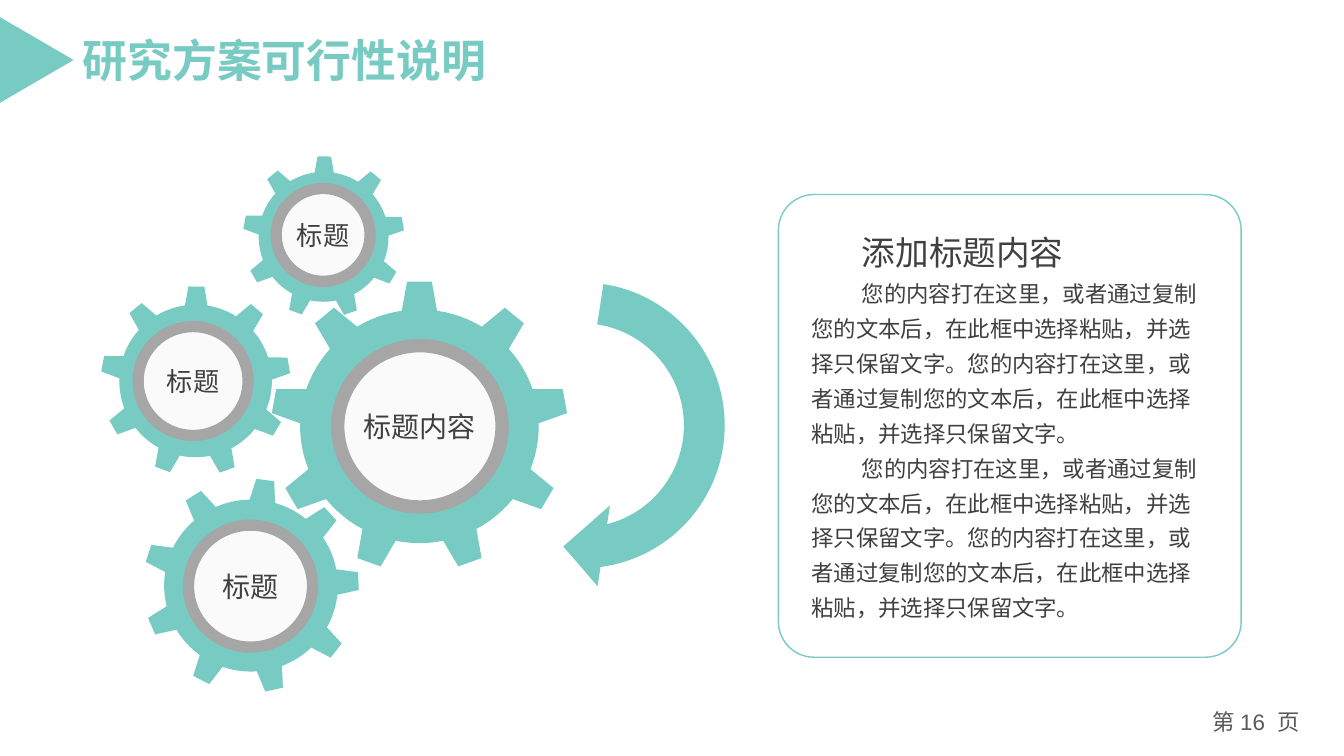
from dataclasses import dataclass
from math import cos, radians, sin

from lxml import etree
from pptx import Presentation
from pptx.dml.color import RGBColor
from pptx.enum.shapes import MSO_SHAPE as Shape
from pptx.enum.text import MSO_ANCHOR as Anchor, PP_ALIGN as Align
from pptx.oxml.ns import qn
from pptx.util import Inches, Pt


@dataclass(frozen=True)
class Theme:
    teal: str = "77CBC3"
    ring: str = "A6A6A6"
    disc: str = "FAFAFA"
    text: str = "404040"
    muted: str = "595959"
    cjk: str = "Noto Sans CJK SC"
    latin: str = "Arial"
    title: float = 32
    heading: float = 24
    body: float = 16
    label: float = 20
    small_label: float = 18.7


T = Theme()
TEETH = 9
ROOT_RATIO = 0.805
TIP_HALF = 4.8
ROOT_HALF = 8.5

GEARS = [
    ((4.16, 4.23), (1.47, 1.44), 0, (3.35, 3.43, 1.63, 1.6), 9.5, "标题内容", T.label),
    ((2.49, 5.81), (1.07, 1.06), 7.6, (1.87, 5.21, 1.23, 1.21), 8, "标题", T.label),
    ((1.94, 3.78), (0.94, 0.94), 0.5, (1.37, 3.24, 1.09, 1.08), 8, "标题", T.small_label),
    ((3.21, 2.35), (0.8, 0.8), 0.5, (2.74, 1.87, 0.93, 0.92), 8, "标题", T.small_label),
]

BODY = ("您的内容打在这里，或者通过复制您的文本后，在此框中选择粘贴，并选择只保留文字。"
        "您的内容打在这里，或者通过复制您的文本后，在此框中选择粘贴，并选择只保留文字。")


def set_attrs(obj, **values):
    for name, value in values.items():
        setattr(obj, name, value)


def box(*lengths):
    return [Inches(v) for v in lengths]


def paint(sp, fill=None, line=None, width=1):
    sp.shadow.inherit = False
    if fill:
        sp.fill.solid()
        sp.fill.fore_color.rgb = RGBColor.from_string(fill)
    else:
        sp.fill.background()
    if line:
        sp.line.color.rgb = RGBColor.from_string(line)
        sp.line.width = Pt(width)
    else:
        sp.line.fill.background()


def add_run(p, text, size, color, latin=T.cjk, bold=False):
    r = p.add_run()
    r.text = text
    set_attrs(r.font, size=Pt(size), name=latin, bold=bold)
    r.font.color.rgb = RGBColor.from_string(color)
    ea = etree.SubElement(r.font._element, qn("a:ea"))
    ea.set("typeface", T.cjk)


def set_margins(tf, x, y):
    set_attrs(tf, margin_left=Inches(x), margin_right=Inches(x),
              margin_top=Inches(y), margin_bottom=Inches(y))


def gear_points(center, radii, turn):
    def at(angle, ratio=1.0):
        a = radians(angle)
        return tuple(Inches(c + r * ratio * f(a))
                     for c, r, f in zip(center, radii, (cos, sin)))

    step = 360 / TEETH
    arc = step - 2 * ROOT_HALF
    points = []
    for i in range(TEETH):
        mid = turn - 90 + i * step
        points += [at(mid - TIP_HALF), at(mid + TIP_HALF)]
        points += [at(mid + ROOT_HALF + arc * k / 6, ROOT_RATIO) for k in range(7)]
    return points


def add_gear(s, center, radii, turn, disc, ring_width, label, size):
    first, *rest = gear_points(center, radii, turn)
    builder = s.shapes.build_freeform(*first)
    builder.add_line_segments(rest, close=True)
    paint(builder.convert_to_shape(), T.teal)

    sp = s.shapes.add_shape(Shape.OVAL, *box(*disc))
    paint(sp, T.disc, T.ring, ring_width)
    tf = sp.text_frame
    set_margins(tf, 0, 0)
    set_attrs(tf, word_wrap=False, vertical_anchor=Anchor.MIDDLE)
    p = tf.paragraphs[0]
    p.alignment = Align.CENTER
    add_run(p, label, size, T.text)


def add_solid(s, kind, place, rotation):
    sp = s.shapes.add_shape(kind, *box(*place))
    paint(sp, T.teal)
    sp.rotation = rotation


def add_panel(s):
    group = s.shapes.add_group_shape()
    frame = group.shapes.add_shape(Shape.ROUNDED_RECTANGLE, *box(7.72, 1.93, 4.59, 4.59))
    frame.adjustments[0] = 0.077
    paint(frame, line=T.teal)

    tf = group.shapes.add_textbox(*box(7.95, 1.85, 4.16, 4.76)).text_frame
    tf.word_wrap = True
    lines = [("添加标题内容", T.heading, 2), (BODY, T.body, 1.3), (BODY, T.body, 1.3)]
    for i, (text, size, spacing) in enumerate(lines):
        p = tf.add_paragraph() if i else tf.paragraphs[0]
        p.line_spacing = spacing
        p._p.get_or_add_pPr().set("indent", str(Inches(0.5)))
        add_run(p, text, size, T.text)


def add_title(s, text):
    sp = s.shapes.title
    left, top, width, height = box(0.69, 0.26, 4.31, 0.67)
    set_attrs(sp, left=left, top=top, width=width, height=height)
    tf = sp.text_frame
    set_margins(tf, 0.13, 0.07)
    set_attrs(tf, word_wrap=False, vertical_anchor=Anchor.MIDDLE)
    p = tf.paragraphs[0]
    p.alignment = Align.LEFT
    add_run(p, text, T.title, T.teal, T.latin, True)


def add_page_number(s):
    tf = s.shapes.add_textbox(*box(11.86, 6.98, 1.2, 0.4)).text_frame
    tf.word_wrap = True
    p = tf.paragraphs[0]
    p.alignment = Align.CENTER
    for text, font in [("第 ", T.cjk), ("16  ", T.latin), ("页", T.cjk)]:
        add_run(p, text, T.body, T.muted, font)


def main():
    prs = Presentation()
    set_attrs(prs, slide_width=Inches(13.33), slide_height=Inches(7.5))
    s = prs.slides.add_slide(prs.slide_layouts[5])
    add_page_number(s)
    for gear in GEARS:
        add_gear(s, *gear)
    add_solid(s, Shape.CIRCULAR_ARROW, (4.15, 2.6, 3.24, 3.24), 98.7)
    add_panel(s)
    add_title(s, "研究方案可行性说明")
    add_solid(s, Shape.ISOSCELES_TRIANGLE, (-0.06, 0.23, 0.85, 0.73), 90)
    prs.save("out.pptx")


if __name__ == "__main__":
    main()
